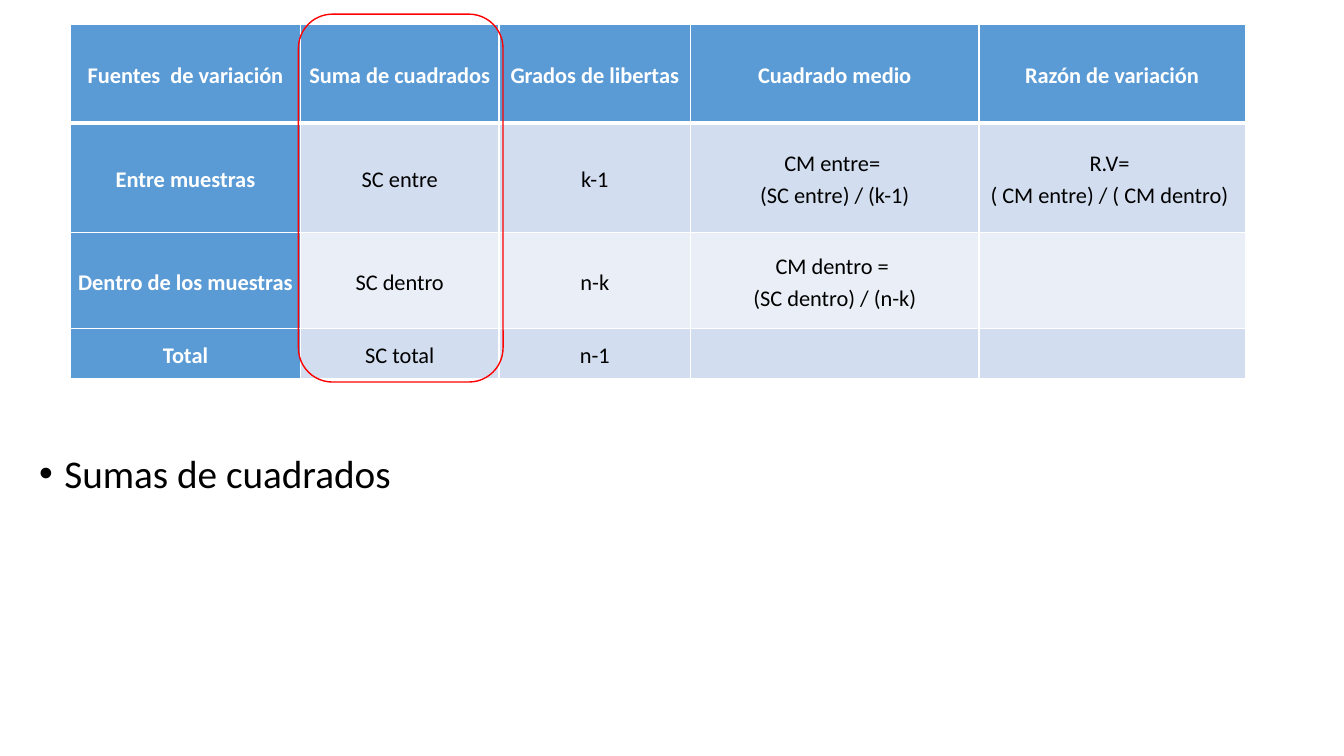
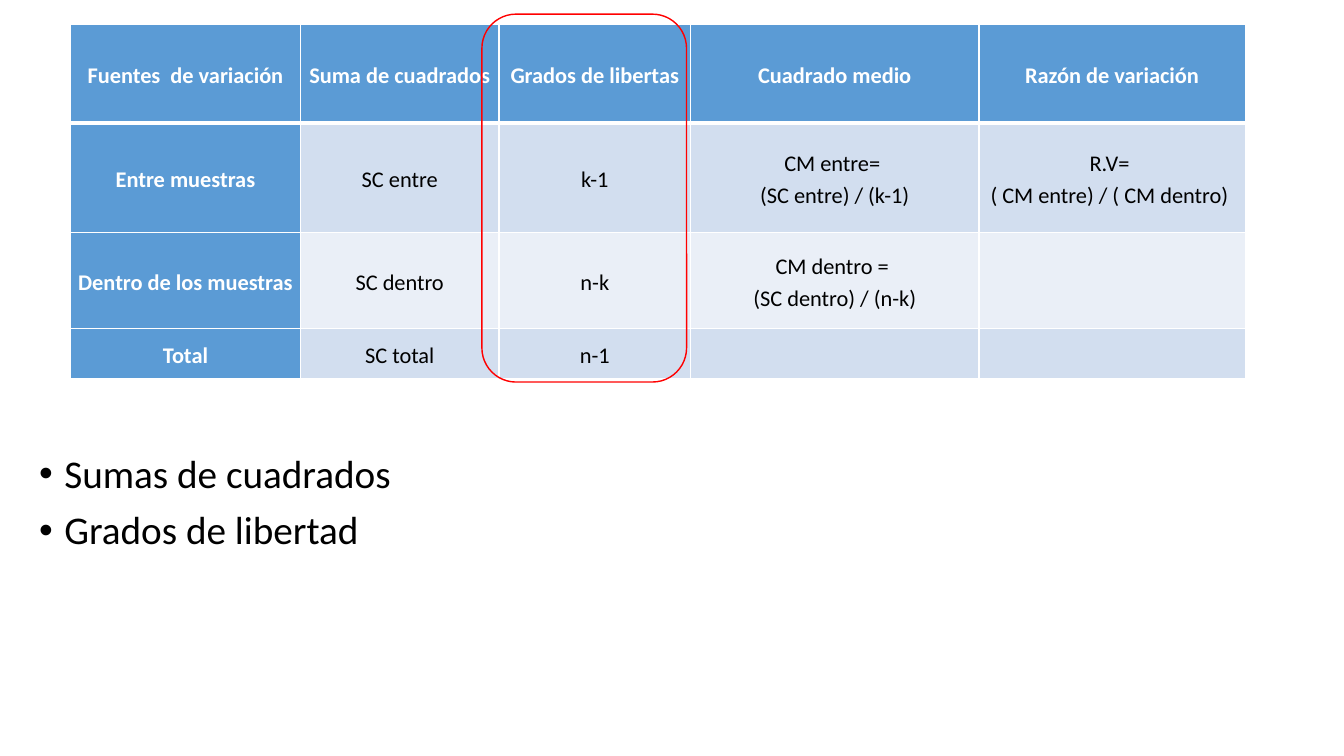
"""Builds two slides that walk through the columns of a variance table."""
import pptx
import pptx.util
import pptx.dml.color
import pptx.enum.shapes
import pptx.enum.text
import pptx.oxml
import pptx.oxml.ns

CELL = pptx.util.Inches(0.01)
COLS, ROWS = 1333, 750
BLUE, PALE, LIGHT = "5B9BD5", "D2DEEF", "EAEFF7"
WHITE, BLACK, RED = "FFFFFF", "000000", "FF0000"
MID = pptx.enum.text.MSO_ANCHOR.MIDDLE
CENTER = pptx.enum.text.PP_ALIGN.CENTER
LEFT = pptx.enum.text.PP_ALIGN.LEFT

WIDTHS = [228, 197, 190, 286, 264]
HEIGHTS = [98, 109, 95, 50]
GRID = [
    ["Fuentes  de variación", "Suma de cuadrados", "Grados de libertas",
     "Cuadrado medio", "Razón de variación"],
    ["Entre muestras", "SC entre", "k-1", "CM entre= \n(SC entre) / (k-1)",
     "R.V= \n( CM entre) / ( CM dentro) "],
    ["Dentro de los muestras", "SC dentro", "n-k",
     "CM dentro = \n(SC dentro) / (n-k)", ""],
    ["Total", "SC total", "n-1", "", ""],
]
PAGES = [
    (["Sumas de cuadrados"], 296, 153),
    (["Sumas de cuadrados", "Grados de libertad"], 478, 258),
]


def paint(code):
    return pptx.dml.color.RGBColor.from_string(code)


def write(frame, text, size=16, color=BLACK, bold=False, align=CENTER,
          lead=1.15, gap=0, bullet=False):
    for n, line in enumerate(text.split("\n")):
        para = frame.add_paragraph() if n else frame.paragraphs[0]
        para.alignment = align
        para.line_spacing = lead
        para.space_before = pptx.util.Pt(gap)
        font = para.font
        if line:
            run = para.add_run()
            run.text = line
            font = run.font
        font.name = "Calibri"
        font.size = pptx.util.Pt(size)
        font.bold = bold
        font.color.rgb = paint(color)
        if bullet:
            props = para._p.get_or_add_pPr()
            props.set("marL", str(25 * CELL))
            props.set("indent", str(-25 * CELL))
            for tag, key, val in (("buFont", "typeface", "Arial"), ("buChar", "char", "•")):
                mark = props.makeelement(pptx.oxml.ns.qn("a:" + tag), {key: val})
                props.append(mark)


deck = pptx.Presentation()
deck.slide_width = COLS * CELL
deck.slide_height = ROWS * CELL

for points, left, tall in PAGES:
    slide = deck.slides.add_slide(deck.slide_layouts[6])
    shapes = slide.shapes

    box = shapes.add_textbox(29 * CELL, 446 * CELL, 1150 * CELL, tall * CELL)
    box.text_frame.word_wrap = True
    write(box.text_frame, "\n".join(points), size=28, align=LEFT,
          lead=0.9, gap=10, bullet=True)

    table = shapes.add_table(
        len(HEIGHTS), len(WIDTHS), 70 * CELL, 24 * CELL,
        sum(WIDTHS) * CELL, sum(HEIGHTS) * CELL).table
    for col, wide in zip(table.columns, WIDTHS):
        col.width = wide * CELL
    for r, (row, high) in enumerate(zip(GRID, HEIGHTS)):
        table.rows[r].height = high * CELL
        for c, text in enumerate(row):
            cell = table.cell(r, c)
            head = r == 0 or c == 0
            cell.vertical_anchor = MID
            cell.margin_left = cell.margin_right = 7 * CELL
            cell.margin_top = cell.margin_bottom = 0
            write(cell.text_frame, text, color=WHITE if head else BLACK, bold=head)
            for side in "LRTB":
                thick = 3 if (r, side) in ((0, "B"), (1, "T")) else 1
                cell._tc.get_or_add_tcPr().append(pptx.oxml.parse_xml(
                    f'<a:ln{side} {pptx.oxml.ns.nsdecls("a")} w="{pptx.util.Pt(thick)}">'
                    f'<a:solidFill><a:srgbClr val="{WHITE}"/></a:solidFill></a:ln{side}>'))
            cell.fill.solid()
            cell.fill.fore_color.rgb = paint(BLUE if head else PALE if r % 2 else LIGHT)

    ring = shapes.add_shape(
        pptx.enum.shapes.MSO_SHAPE.ROUNDED_RECTANGLE,
        left * CELL, 14 * CELL, 203 * CELL, 365 * CELL)
    ring.shadow.inherit = False
    ring.fill.background()
    ring.line.color.rgb = paint(RED)
    ring.line.width = pptx.util.Pt(1)

deck.save("out.pptx")
